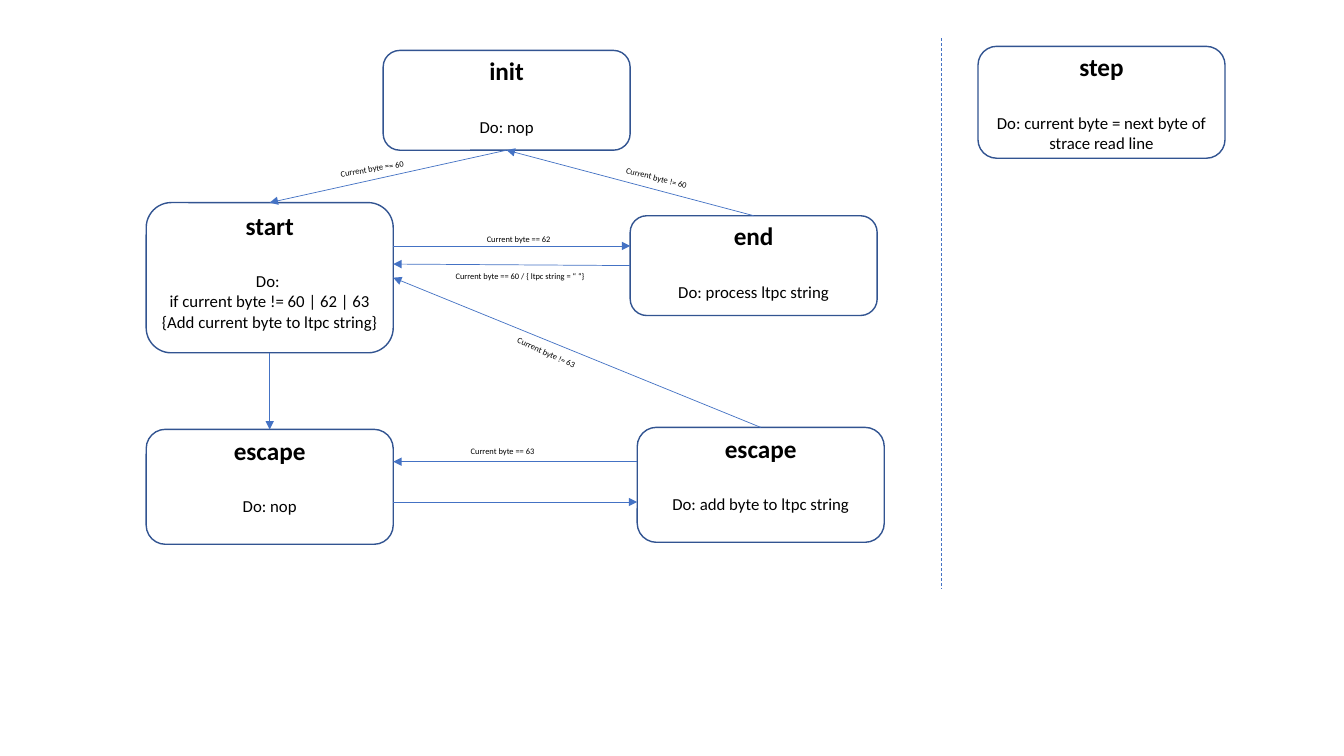
from lxml import etree
from pptx import Presentation
from pptx.dml.color import RGBColor
from pptx.enum import dml, shapes, text
from pptx.oxml.ns import qn
from pptx.util import Inches, Pt

COLORS = {"outline": "325491", "arrow": "4472C4", "text": "000000"}
FONT = "Calibri"
STATE_WIDTH = 2.45
TOP, LEFT, BOTTOM, RIGHT = range(4)


def color(name):
    return RGBColor.from_string(COLORS[name])


def format_runs(para, size, bold=False):
    for span in para.runs:
        span.font.name = FONT
        span.font.size = Pt(size)
        span.font.bold = bold
        span.font.color.rgb = color("text")


def add_state(page, left, top, height, name, *actions):
    """Add a rounded state box with a bold name above its actions."""
    box = page.shapes.add_shape(
        shapes.MSO_SHAPE.ROUNDED_RECTANGLE,
        Inches(left), Inches(top), Inches(STATE_WIDTH), Inches(height))
    box.shadow.inherit = False
    box.fill.background()
    box.line.color.rgb = color("outline")
    box.line.width = Pt(1)
    frame = box.text_frame
    frame.word_wrap = True
    frame.vertical_anchor = text.MSO_ANCHOR.TOP
    frame.margin_left = frame.margin_right = 0
    frame.margin_top = frame.margin_bottom = 0
    frame.text = "\n".join((name, *actions))
    for index, para in enumerate(frame.paragraphs):
        para.alignment = text.PP_ALIGN.CENTER
        format_runs(para, 12 if index else 18, bold=index == 0)
    frame.paragraphs[0].space_after = Pt(22)
    return box


def add_line(page, start, end):
    """Add a thin line between two points given in inches."""
    line = page.shapes.add_connector(
        shapes.MSO_CONNECTOR.STRAIGHT, *map(Inches, (*start, *end)))
    line.line.color.rgb = color("arrow")
    line.line.width = Pt(0.5)
    etree.SubElement(line._element.spPr, qn("a:effectLst"))
    return line


def add_arrow(page, start, end, source=None, target=None):
    """Add an arrow; source and target are optional (box, side) joints."""
    arrow = add_line(page, start, end)
    if source:
        arrow.begin_connect(*source)
    if target:
        arrow.end_connect(*target)
    etree.SubElement(arrow.line._get_or_add_ln(), qn("a:tailEnd"), type="triangle")


def add_label(page, left, top, width, wording, rotation=0):
    box = page.shapes.add_textbox(
        Inches(left), Inches(top), Inches(width), Inches(0.2))
    box.rotation = rotation
    box.text_frame.word_wrap = True
    box.text_frame.text = wording
    format_runs(box.text_frame.paragraphs[0], 6)


def main():
    deck = Presentation()
    deck.slide_width, deck.slide_height = Inches(13.33), Inches(7.5)
    page = deck.slides.add_slide(deck.slide_layouts[6])

    init = add_state(page, 3.8, 0.5, 0.99, "init", "Do: nop")
    start = add_state(page, 1.45, 2.01, 1.49, "start", "Do: ",
                      "if current byte != 60 | 62 | 63",
                      "{Add current byte to ltpc string}")
    escape = add_state(page, 1.45, 4.26, 1.14, "escape", "Do: nop")
    escape_add = add_state(page, 6.32, 4.24, 1.14, "escape",
                           "Do: add byte to ltpc string")
    end = add_state(page, 6.25, 2.14, 0.99, "end", "Do: process ltpc string")
    add_state(page, 9.7, 0.46, 1.11, "step",
              "Do: current byte = next byte of strace read line")

    for arrow in (
        ((5.03, 1.49), (2.67, 2.01), (init, BOTTOM), (start, TOP)),
        ((2.67, 3.5), (2.67, 4.26), (start, BOTTOM), (escape, TOP)),
        ((7.55, 4.24), (3.9, 2.75), (escape_add, TOP), (start, RIGHT)),
        ((7.48, 2.14), (5.03, 1.49), (end, TOP), (init, BOTTOM)),
        ((6.25, 2.63), (3.9, 2.62), (end, LEFT)),
        ((3.9, 2.44), (6.25, 2.44)),
        ((3.9, 4.98), (6.32, 4.98)),
        ((6.32, 4.58), (3.9, 4.58)),
    ):
        add_arrow(page, *arrow)

    for label in (
        (4.57, 4.38, 0.87, "Current byte == 63"),
        (5.01, 3.41, 0.87, "Current byte != 63", 24.3),
        (4.42, 2.64, 1.72, "Current byte == 60 / { ltpc string = “ “}"),
        (4.73, 2.27, 1.26, "Current byte == 62"),
        (6.09, 1.78, 1.72, "Current byte != 60", 14.8),
        (3.27, 1.5, 1.72, "Current byte == 60", 350.4),
    ):
        add_label(page, *label)

    divider = add_line(page, (9.34, 0.38), (9.34, 5.84))
    divider.line.dash_style = dml.MSO_LINE.DASH

    deck.save("out.pptx")


if __name__ == "__main__":
    main()
